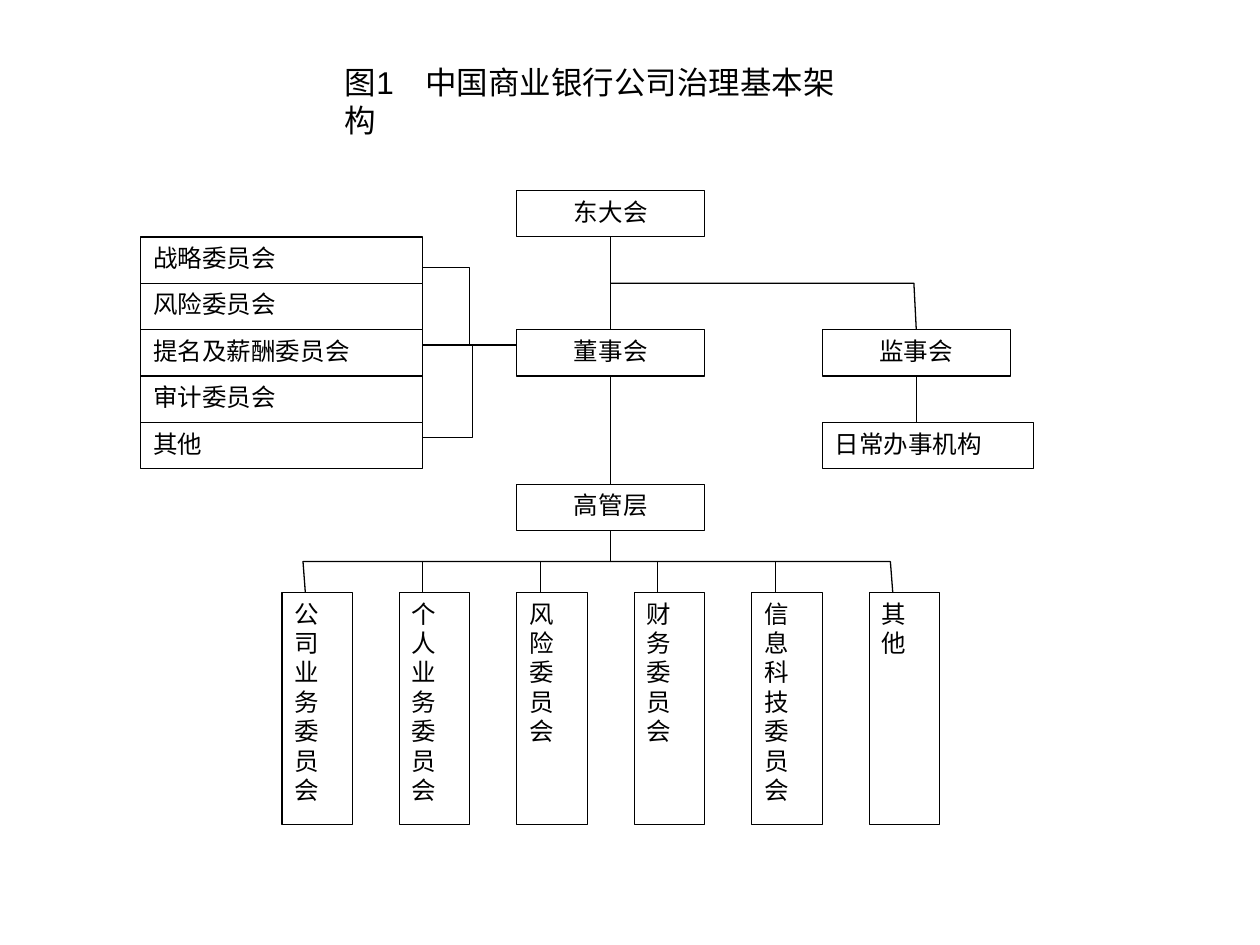
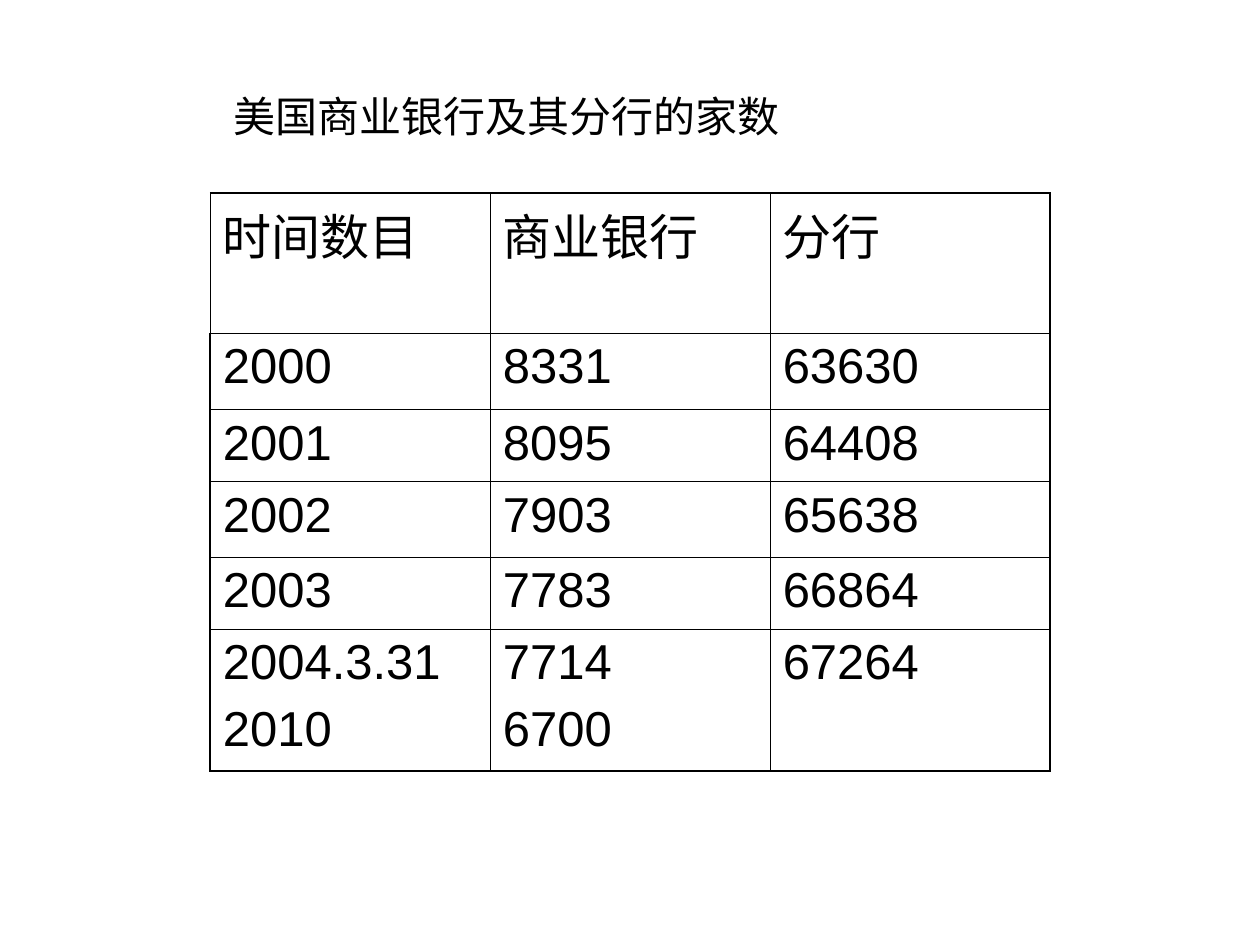
from lxml import etree
from pptx import Presentation
from pptx.dml.color import RGBColor
from pptx.enum import shapes, text
from pptx.oxml import ns
from pptx.util import Cm, Pt

COLORS = {"ink": "000000", "paper": "FFFFFF"}
FONT = "Arial"
LINE_WIDTH = Pt(0.75)

COMMITTEES = ["战略委员会", "风险委员会", "提名及薪酬委员会", "审计委员会", "其他"]
DEPARTMENTS = ["公司业务委员会", "个人业务委员会", "风险委员会", "财务委员会", "信息科技委员会", "其他"]
BANK_COUNTS = [
    ["时间数目", "商业银行", "分行"],
    ["2000", "8331", "63630"],
    ["2001", "8095", "64408"],
    ["2002", "7903", "65638"],
    ["2003", "7783", "66864"],
    ["2004.3.31\n2010", "7714\n6700", "67264"],
]
ROW_HEIGHTS = [2.82, 1.55, 1.45, 1.52, 1.45, 2.86]


def color(key):
    return RGBColor.from_string(COLORS[key])


def write(frame, content, size, font=FONT, align=text.PP_ALIGN.LEFT, gap=0):
    for index, line in enumerate(content.split("\n")):
        paragraph = frame.add_paragraph() if index else frame.paragraphs[0]
        paragraph.alignment = align
        if index:
            paragraph.space_before = Pt(gap)
        run = paragraph.add_run()
        run.text = line
        run.font.size = Pt(size)
        run.font.name = font
        run.font.bold = False
        run.font.color.rgb = color("ink")


def add_titled_slide(deck, heading, box, size, font=FONT):
    slide = deck.slides.add_slide(deck.slide_layouts[5])
    title = slide.shapes.title
    title.left, title.top, title.width, title.height = map(Cm, box)
    frame = title.text_frame
    frame.word_wrap = True
    frame.auto_size = text.MSO_AUTO_SIZE.NONE
    frame.vertical_anchor = text.MSO_ANCHOR.TOP
    write(frame, heading, size, font)
    return slide


def draw_governance(slide, left, top, width, height):
    column, row = width / 38, height / 41

    def place(x, y):
        return Cm(left + x * column), Cm(top + y * row)

    def body(label, x, y, across, down=3, align=text.PP_ALIGN.LEFT):
        unit = slide.shapes.add_shape(
            shapes.MSO_SHAPE.RECTANGLE, *place(x, y), Cm(across * column), Cm(down * row))
        unit.shadow.inherit = False
        unit.fill.solid()
        unit.fill.fore_color.rgb = color("paper")
        unit.line.color.rgb = color("ink")
        unit.line.width = LINE_WIDTH
        unit.text_frame.word_wrap = True
        unit.text_frame.vertical_anchor = text.MSO_ANCHOR.TOP
        write(unit.text_frame, label, 14, align=align)

    def link(*stops):
        points = [place(*stop) for stop in stops]
        if len(points) == 2:
            branch = slide.shapes.add_connector(
                shapes.MSO_CONNECTOR.STRAIGHT, *points[0], *points[1])
            etree.SubElement(branch._element.spPr, ns.qn("a:effectLst"))
        else:
            builder = slide.shapes.build_freeform(*points[0])
            builder.add_line_segments(points[1:], close=False)
            branch = builder.convert_to_shape()
            branch.fill.background()
            branch.shadow.inherit = False
        branch.line.color.rgb = color("ink")
        branch.line.width = LINE_WIDTH

    for index, label in enumerate(COMMITTEES):
        body(label, 0, 4 + 3 * index - 1, 12)
    for label, x, y in [("东大会", 16, 0), ("董事会", 16, 9), ("监事会", 29, 9), ("高管层", 16, 19)]:
        body(label, x, y, 8, align=text.PP_ALIGN.CENTER)
    body("日常办事机构", 29, 15, 9)
    for index, label in enumerate(DEPARTMENTS):
        body(label, 6 + 5 * index, 26, 3, 15)

    link((12, 10), (16, 10))
    link((12, 5), (14, 5), (14, 10))
    link((12, 16), (14.1, 16), (14.1, 10))
    link((20, 3), (20, 9))
    link((20, 12), (20, 19))
    link((20, 22), (20, 24))
    link((20, 6), (32.9, 6), (33, 9))
    link((33, 12), (33, 15))
    link((7, 26), (6.9, 24), (20, 24))
    link((32, 26), (31.9, 24), (20, 24))
    for index in range(1, len(DEPARTMENTS) - 1):
        link((7 + 5 * index, 24), (7 + 5 * index, 26))


def set_borders(cell, widths):
    properties = cell._tc.get_or_add_tcPr()
    for side, points in zip("LRTB", widths):
        edge = etree.SubElement(properties, ns.qn(f"a:ln{side}"), w=str(Pt(points)))
        fill = etree.SubElement(edge, ns.qn("a:solidFill"))
        etree.SubElement(fill, ns.qn("a:srgbClr"), val=COLORS["ink"])


def draw_bank_counts(slide, left, top, width):
    last_row, last_column = len(BANK_COUNTS) - 1, len(BANK_COUNTS[0]) - 1
    counts = slide.shapes.add_table(
        last_row + 1, last_column + 1, Cm(left), Cm(top), Cm(width), Cm(sum(ROW_HEIGHTS))).table
    counts.first_row = counts.horz_banding = False
    for r, (height, values) in enumerate(zip(ROW_HEIGHTS, BANK_COUNTS)):
        counts.rows[r].height = Cm(height)
        for c, value in enumerate(values):
            cell = counts.cell(r, c)
            outer = (c == 0 and r > 0, c == last_column, r == 0, r == last_row)
            set_borders(cell, [1.08 if edge else 0.45 for edge in outer])
            cell.fill.background()
            write(cell.text_frame, value, 28, gap=7)


def main():
    deck = Presentation()
    deck.slide_width, deck.slide_height = Cm(25.4), Cm(19.05)

    governance = add_titled_slide(
        deck, "图1　中国商业银行公司治理基本架构", (6.7, 1.14, 11, 2.54), 18)
    draw_governance(governance, 2.84, 3.84, 18, 12.78)

    branches = add_titled_slide(
        deck, "美国商业银行及其分行的家数", (4.45, 1.7, 16.3, 1.27), 24, "Times New Roman")
    draw_bank_counts(branches, 4.24, 3.89, 16.93)

    deck.save("out.pptx")


if __name__ == "__main__":
    main()
